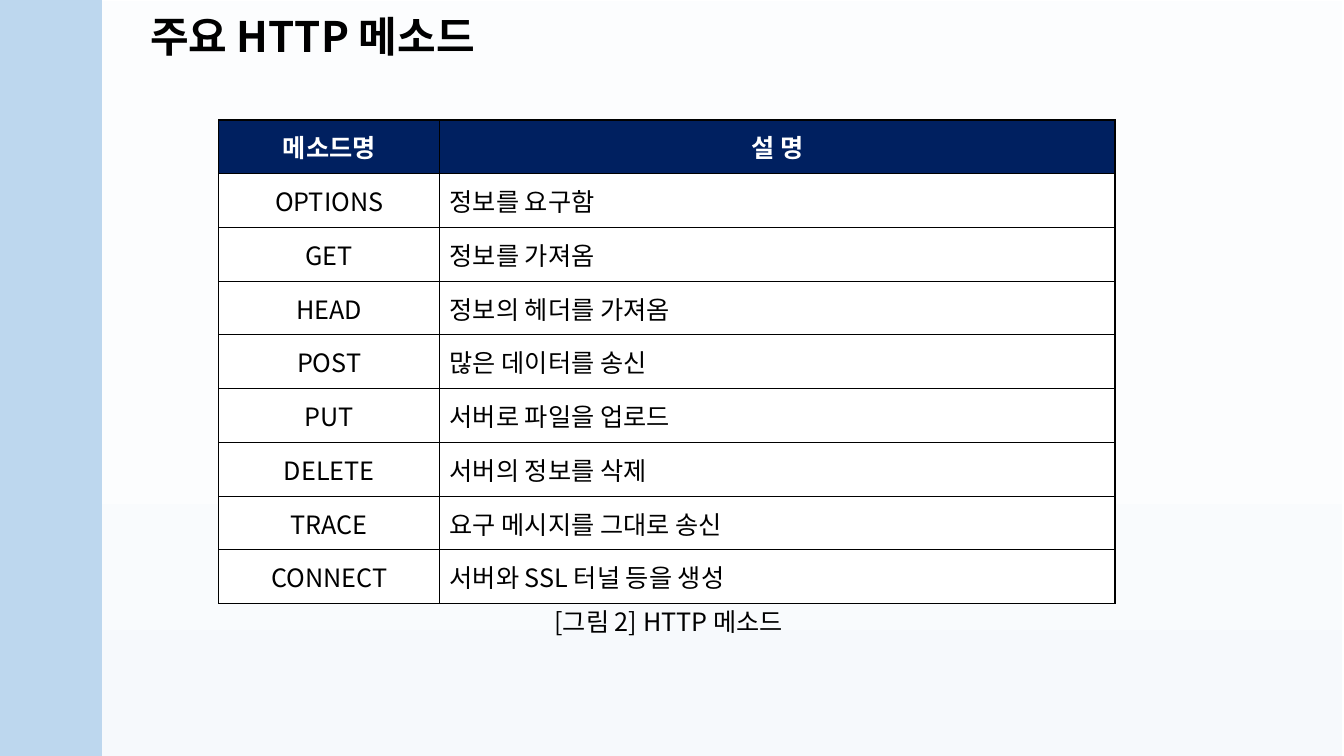
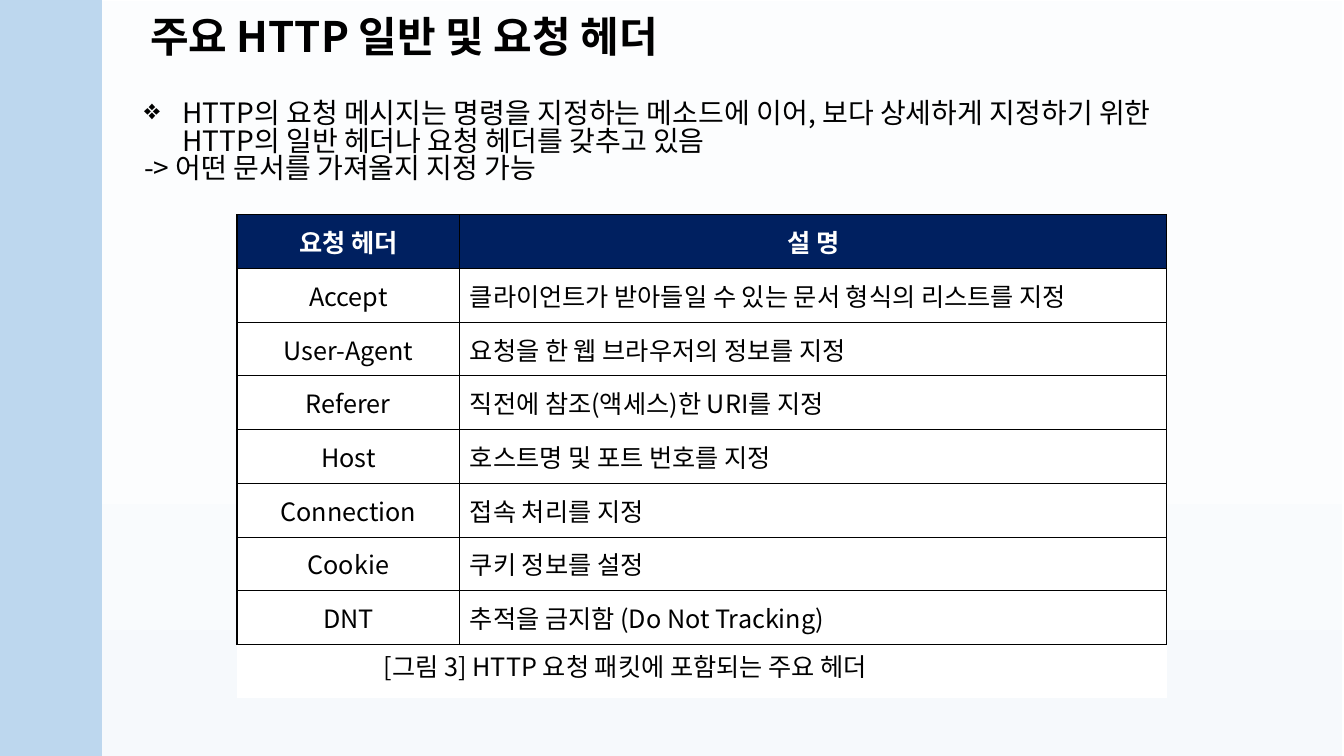
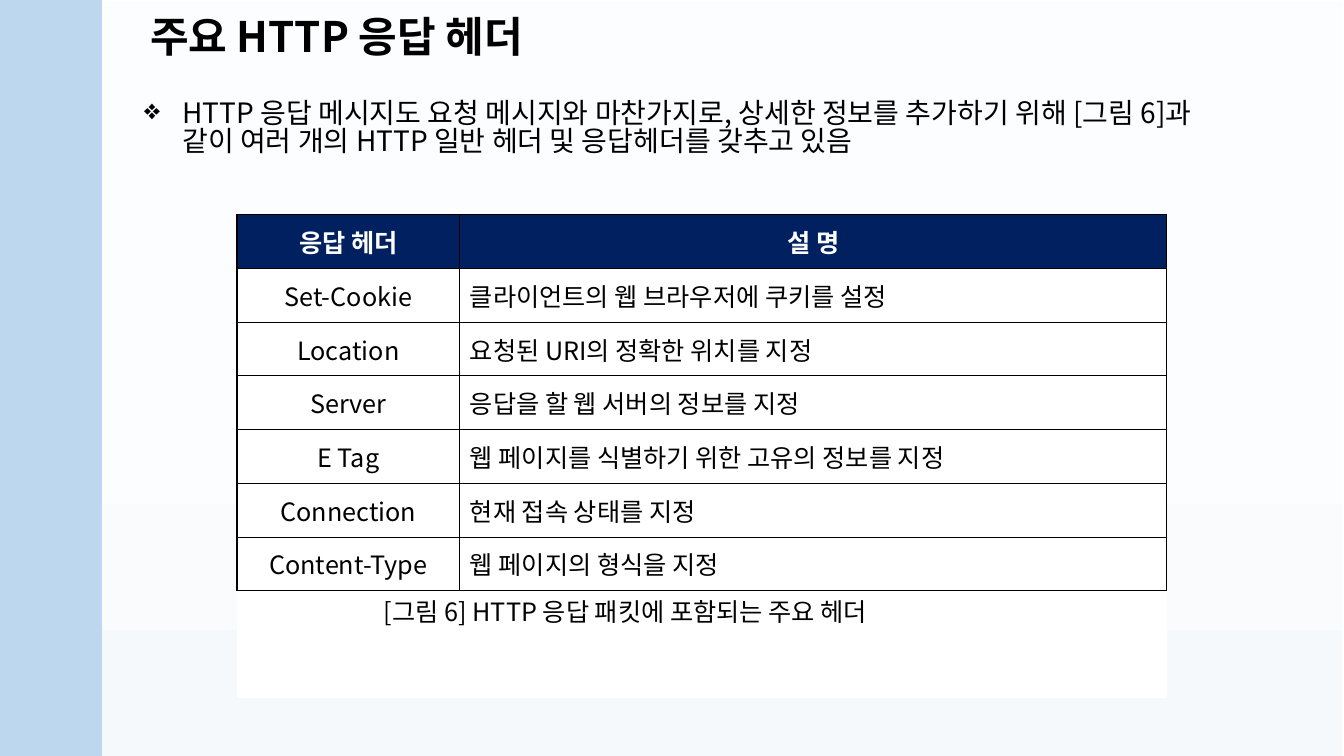
from pptx import Presentation
from pptx.dml.color import RGBColor
from pptx.enum.shapes import MSO_SHAPE
from pptx.enum.text import MSO_ANCHOR, PP_ALIGN
from pptx.oxml.ns import qn
from pptx.util import Inches, Pt
from copy import deepcopy
from lxml.etree import SubElement

WIDTH, HEIGHT = Inches(13.33), Inches(7.5)
FONT = "Noto Sans CJK KR"
BLACK, WHITE, NAVY, SKY = "000000", "FFFFFF", "002060", "BDD7EE"
BACKDROP_STOPS = [(0, "F6F9FC"), (0.5, "FCFDFE"), (1, WHITE)]
TABLE_ROWS = 9
TABLE_HEIGHT = 64

METHODS = [
    ("메소드명", "설 명"),
    ("OPTIONS", "정보를 요구함"),
    ("GET", "정보를 가져옴"),
    ("HEAD", "정보의 헤더를 가져옴"),
    ("POST", "많은 데이터를 송신"),
    ("PUT", "서버로 파일을 업로드"),
    ("DELETE", "서버의 정보를 삭제"),
    ("TRACE", "요구 메시지를 그대로 송신"),
    ("CONNECT", "서버와 SSL 터널 등을 생성"),
]
REQUEST_HEADERS = [
    ("요청 헤더", "설 명"),
    ("Accept", "클라이언트가 받아들일 수 있는 문서 형식의 리스트를 지정"),
    ("User-Agent", "요청을 한 웹 브라우저의 정보를 지정"),
    ("Referer", "직전에 참조(액세스)한 URI를 지정"),
    ("Host", "호스트명 및 포트 번호를 지정"),
    ("Connection", "접속 처리를 지정"),
    ("Cookie", "쿠키 정보를 설정"),
    ("DNT", "추적을 금지함 (Do Not Tracking)"),
]
RESPONSE_HEADERS = [
    ("응답 헤더", "설 명"),
    ("Set-Cookie", "클라이언트의 웹 브라우저에 쿠키를 설정"),
    ("Location", "요청된 URI의 정확한 위치를 지정"),
    ("Server", "응답을 할 웹 서버의 정보를 지정"),
    ("E Tag", "웹 페이지를 식별하기 위한 고유의 정보를 지정"),
    ("Connection", "현재 접속 상태를 지정"),
    ("Content-Type", "웹 페이지의 형식을 지정"),
]


def color(value):
    return RGBColor.from_string(value)


def across(share):
    """Percent of the slide's width."""
    return round(WIDTH * share / 100)


def down(share):
    """Percent of the slide's height."""
    return round(HEIGHT * share / 100)


def area(left, top, width, height):
    return across(left), down(top), across(width), down(height)


def write(paragraph, text, size=18, ink=BLACK, bold=False,
          align=PP_ALIGN.LEFT, spacing=None, bullet=None):
    paragraph.text = text
    paragraph.alignment = align
    if spacing:
        paragraph.line_spacing = spacing
    for run in paragraph.runs:
        run.font.name = FONT
        run.font.size = Pt(size)
        run.font.bold = bold
        run.font.color.rgb = color(ink)
        SubElement(run.font._element, qn("a:ea")).set("typeface", FONT)
    if bullet:
        properties = paragraph._p.get_or_add_pPr()
        properties.set("marL", str(Inches(0.38)))
        properties.set("indent", str(-Inches(0.38)))
        SubElement(properties, qn("a:buChar")).set("char", bullet)


def add_text(slide, place, text, **style):
    frame = slide.shapes.add_textbox(*area(*place)).text_frame
    frame.word_wrap = True
    write(frame.paragraphs[0], text, **style)
    return frame


def add_panel(slide, place):
    shape = slide.shapes.add_shape(MSO_SHAPE.RECTANGLE, *area(*place))
    shape.shadow.inherit = False
    shape.line.fill.background()
    return shape


def fill_gradient(shape, stops):
    shape.fill.gradient()
    shape.fill.gradient_angle = 90
    stop_list = shape._element.spPr.find(".//" + qn("a:gsLst"))
    while len(stop_list) < len(stops):
        stop_list.append(deepcopy(stop_list[0]))
    for stop, (position, value) in zip(shape.fill.gradient_stops, stops):
        stop.position = position
        stop.color.rgb = color(value)


def set_borders(cell, sides):
    """Draw the named sides; the other sides have no line."""
    properties = cell._tc.get_or_add_tcPr()
    for side in "LRTB":
        line = SubElement(properties, qn(f"a:ln{side}"), w=str(Pt(1)))
        if side in sides:
            fill = SubElement(line, qn("a:solidFill"))
            SubElement(fill, qn("a:srgbClr"), val=BLACK)
        else:
            SubElement(line, qn("a:noFill"))


def add_grid(slide, left, top, columns, records):
    """Table with a navy header; rows after the records stay blank."""
    place = area(left, top, sum(columns), TABLE_HEIGHT)
    table = slide.shapes.add_table(TABLE_ROWS, len(columns), *place).table
    table.first_row = table.horz_banding = False
    for column, share in zip(table.columns, columns):
        column.width = across(share)
    for index, row in enumerate(table.rows):
        row.height = down(TABLE_HEIGHT / TABLE_ROWS)
        header = index == 0
        for position, cell in enumerate(row.cells):
            if index < len(records):
                sides = "LRTB"
                centred = header or position == 0
                write(cell.text_frame.paragraphs[0], records[index][position],
                      ink=WHITE if header else BLACK, bold=header,
                      align=PP_ALIGN.CENTER if centred else PP_ALIGN.LEFT)
            else:
                sides = "T" if index == len(records) else ""
            set_borders(cell, sides)
            cell.vertical_anchor = MSO_ANCHOR.MIDDLE
            cell.fill.solid()
            cell.fill.fore_color.rgb = color(NAVY if header else WHITE)


def add_lead(slide, place, text, *more):
    """Bulleted introduction, with plain paragraphs after it."""
    frame = add_text(slide, place, text, size=20, spacing=0.82, bullet="❖")
    for line in more:
        write(frame.add_paragraph(), line, size=20, spacing=0.82)


def add_caption(slide, place, text):
    add_text(slide, place, text, spacing=0.87)


def add_page(presentation, title):
    """Slide with the shared backdrop, side band and title."""
    slide = presentation.slides.add_slide(presentation.slide_layouts[6])
    fill_gradient(add_panel(slide, (0, 0.13, 99.85, 99.87)), BACKDROP_STOPS)
    band = add_panel(slide, (0, 0, 7.58, 100))
    band.fill.solid()
    band.fill.fore_color.rgb = color(SKY)
    add_text(slide, (10.43, 1.47, 71.49, 8.13), title,
             size=30, bold=True, spacing=0.9)
    return slide


def main():
    presentation = Presentation()
    presentation.slide_width, presentation.slide_height = WIDTH, HEIGHT
    header_columns = (16.58, 52.59)

    # Methods
    slide = add_page(presentation, "주요 HTTP 메소드")
    add_grid(slide, 16.28, 15.87, (16.43, 50.26), METHODS)
    add_caption(slide, (40.51, 80.13, 26.41, 5.33), "[그림 2] HTTP 메소드")

    # Request headers
    slide = add_page(presentation, "주요 HTTP 일반 및 요청 헤더")
    add_lead(slide, (9.98, 12.8, 84.55, 19.33),
             "HTTP의 요청 메시지는 명령을 지정하는 메소드에 이어, 보다 상세하게 지정하기 위한\n"
             "HTTP의 일반 헤더나 요청 헤더를 갖추고 있음",
             "-> 어떤 문서를 가져올지 지정 가능")
    add_grid(slide, 17.63, 28.4, header_columns, REQUEST_HEADERS)
    add_caption(slide, (27.83, 86, 44.19, 5.33),
                "[그림 3] HTTP 요청 패킷에 포함되는 주요 헤더")

    # Response headers
    slide = add_page(presentation, "주요 HTTP 응답 헤더")
    add_lead(slide, (9.98, 12.8, 88.45, 14.8),
             "HTTP 응답 메시지도 요청 메시지와 마찬가지로, 상세한 정보를 추가하기 위해 [그림 6]과\n"
             "같이 여러 개의 HTTP 일반 헤더 및 응답헤더를 갖추고 있음")
    add_grid(slide, 17.63, 28.4, header_columns, RESPONSE_HEADERS)
    add_caption(slide, (27.83, 78.8, 44.19, 5.33),
                "[그림 6] HTTP 응답 패킷에 포함되는 주요 헤더")

    presentation.save("out.pptx")


if __name__ == "__main__":
    main()
